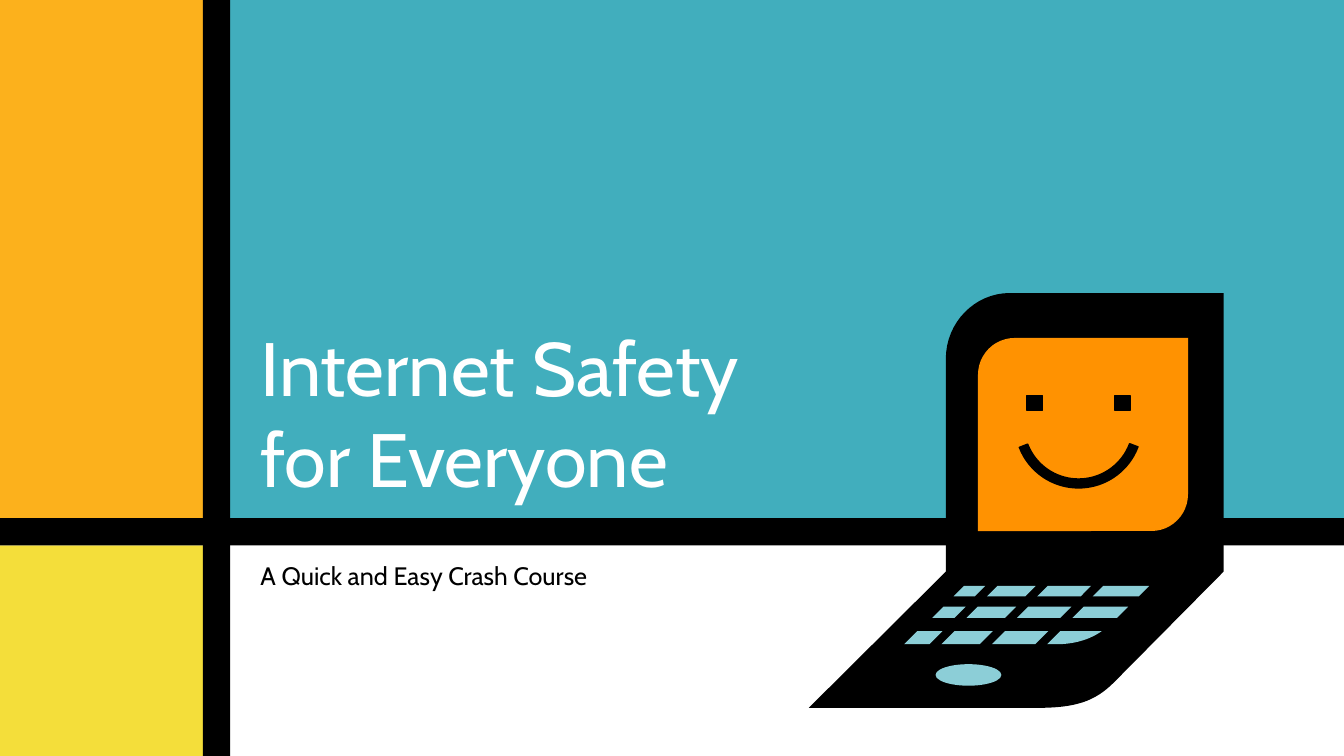
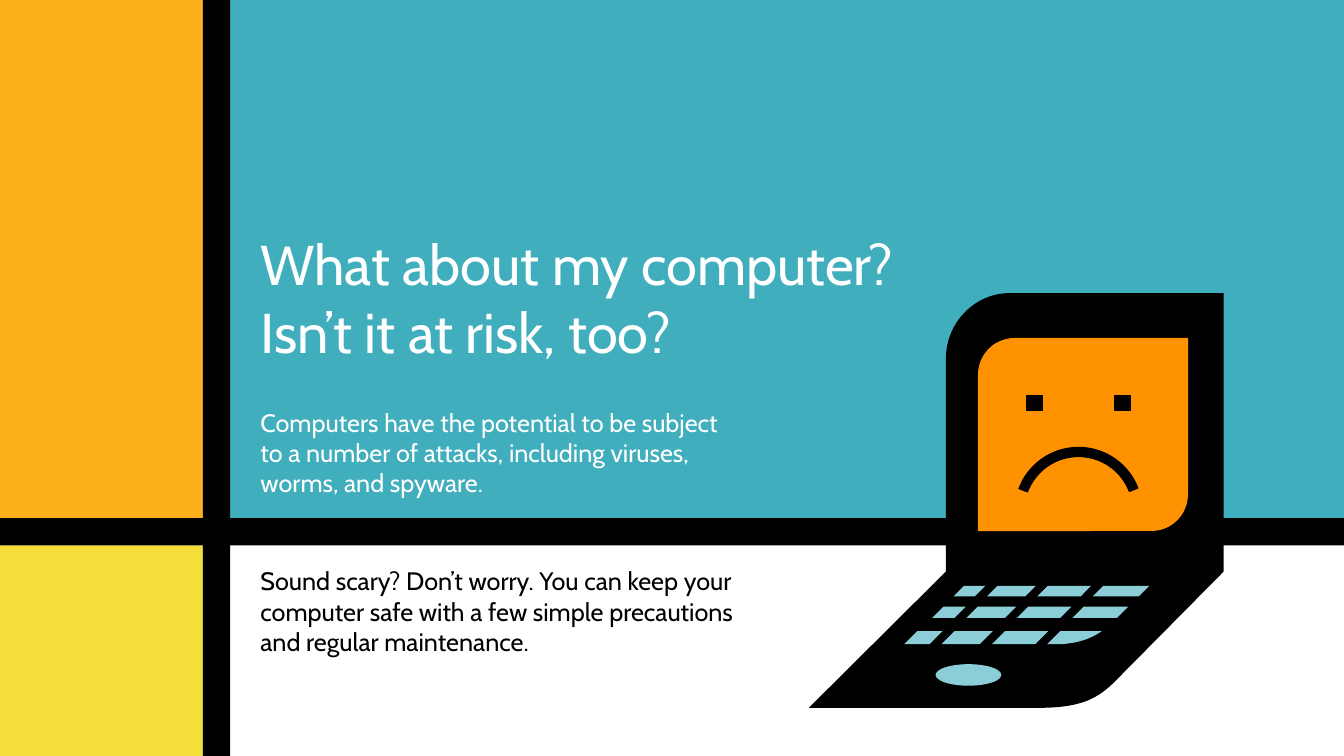
from dataclasses import dataclass

from pptx import Presentation
from pptx.dml.color import RGBColor as RGB
from pptx.enum.shapes import MSO_SHAPE as Kind
from pptx.enum.text import MSO_ANCHOR as Anchor, MSO_AUTO_SIZE as Fit, PP_ALIGN as Align
from pptx.util import Pt


@dataclass(frozen=True)
class Theme:
    font: str = "Cabin"
    body: int = 18
    black: str = "000000"
    white: str = "FFFFFF"
    teal: str = "41AEBD"
    amber: str = "FCB11C"
    yellow: str = "F4DE3A"
    key: str = "8CCED7"
    screen: str = "FF9201"


T = Theme()
WIDE, HIGH = 960, 540
LEFT, RIGHT = 145, 164.4  # edges of the upright bar
UPPER, LOWER = 370, 389.6  # edges of the level bar

# box: left, top, width, height; pad: side, top and bottom
SLIDES = [
    {
        "title": "Internet Safety\vfor Everyone",
        "size": 54, "box": (RIGHT, 217.4, 463, UPPER - 217.4), "anchor": Anchor.BOTTOM,
        "notes": [
            ("A Quick and Easy Crash Course", (RIGHT, LOWER, 795.6, 44),
             (21.6, 10.8), Anchor.TOP, T.black),
        ],
        "happy": True,
    },
    {
        "title": "What about my computer?\vIsn’t it at risk, too?",
        "size": 40, "box": (RIGHT, 153.4, 715.6, 118.8), "anchor": Anchor.TOP,
        "notes": [
            ("Computers have the potential to be subject to a number of attacks, "
             "including viruses, worms, and spyware.", (RIGHT, UPPER - 94.3, 382.3, 94.3),
             (21.6, 14.4), Anchor.BOTTOM, T.white),
            ("Sound scary? Don’t worry. You can keep your computer safe with a few "
             "simple precautions and regular maintenance.", (RIGHT, LOWER, 382.3, 94.3),
             (21.6, 14.4), Anchor.TOP, T.black),
        ],
        "happy": False,
    },
]

BANDS = [
    ((RIGHT, 0, WIDE - RIGHT, UPPER), T.teal),
    ((0, 0, LEFT, UPPER), T.amber),
    ((0, LOWER, LEFT, HIGH - LOWER), T.yellow),
    ((0, UPPER, WIDE, LOWER - UPPER), T.black),
    ((LEFT, 0, RIGHT - LEFT, HIGH), T.black),
]

# left, top, height, steps from key to key
KEYS = [
    (681.1, 418.5, 7.5, (23.8, 36, 39.6, 41.5)),
    (666, 433.4, 7.9, (24.5, 36, 39.6, 40.5)),
    (645.8, 450.8, 9.4, (26.6, 36, 39.6, 39)),
]
GAP = 8.6
FACE_X = 770.4
EYE_Y, EYE, EYE_GAP = 282.3, 10.8, 62.6
MOUTH, SMILE_Y, FROWN_Y = 90.7, 257.8, 319.7


def paint(shape, fill, line=None):
    shape.shadow.inherit = False
    shape.fill.solid()
    shape.fill.fore_color.rgb = RGB.from_string(fill)
    if line:
        shape.line.color.rgb = RGB.from_string(line)
        shape.line.width = Pt(1)
    else:
        shape.line.fill.background()
    return shape


def draw(shapes, kind, box, fill, line=None):
    return paint(shapes.add_shape(kind, *map(Pt, box)), fill, line)


def outline(shapes, points, fill):
    first, *rest = [(Pt(x), Pt(y)) for x, y in points]
    pen = shapes.build_freeform(*first)
    pen.add_line_segments(rest, close=True)
    return paint(pen.convert_to_shape(), fill)


def bend(start, corner, end, pull=0.55, count=16):
    """Points of a curve that rounds a corner; a higher pull is sharper."""
    def at(a, c, b, t):
        p, q = a + (c - a) * pull, b + (c - b) * pull
        u = 1 - t
        return u**3 * a + 3 * u * u * t * p + 3 * u * t * t * q + t**3 * b

    return [tuple(at(a, c, b, i / count) for a, c, b in zip(start, corner, end))
            for i in range(count + 1)]


def write(frame, text, size, color, pad, anchor):
    frame.text = text
    frame.word_wrap = True
    frame.auto_size = Fit.NONE
    frame.vertical_anchor = anchor
    frame.margin_left = frame.margin_right = Pt(pad[0])
    frame.margin_top = frame.margin_bottom = Pt(pad[1])
    for para in frame.paragraphs:
        para.alignment = Align.LEFT
        para.font.name = T.font
        para.font.size = Pt(size)
        para.font.color.rgb = RGB.from_string(color)


def set_bands(slide):
    """Draw the bands and move them to the layout, behind its placeholders."""
    tree = slide.slide_layout.shapes.element
    for i, (box, fill) in enumerate(BANDS):
        band = draw(slide.shapes, Kind.RECTANGLE, box, fill).element
        band.xpath("p:nvSpPr/p:cNvPr")[0].set("id", str(100 + i))
        tree.insert(2 + i, band)


def add_keys(shapes):
    for left, top, tall, steps in KEYS:
        x = left
        for step in steps:
            if (top, step) == (KEYS[-1][1], steps[-1]):
                base, end = top + tall, x + step
                curve = bend((x + 6.5, base), (x + 26, base), (end, top), 0.65)
                outline(shapes, [(x + tall, top), (x, base), *curve], T.key)
            else:
                box = (x, top, step + tall - GAP, tall)
                draw(shapes, Kind.PARALLELOGRAM, box, T.key).adjustments[0] = 1
            x += step


def add_laptop(slide, happy):
    shapes = slide.shapes.add_group_shape().shapes
    case = [
        (874, 209.3),
        *bend((721.4, 209.3), (675.6, 209.3), (675.6, 256.3)),
        (675.6, 408.3), (577.7, 505.6),
        *bend((740.9, 505.6), (777.4, 505.6), (795.6, 487.5), 0.75),
        (874, 408.3),
    ]
    outline(shapes, case, T.black)
    add_keys(shapes)
    draw(shapes, Kind.OVAL, (668.3, 474.4, 47, 15.4), T.key)
    screen = draw(shapes, Kind.ROUND_2_DIAG_RECTANGLE, (698.6, 241.4, 150, 137.9), T.screen)
    screen.adjustments[0] = 0.19
    for side in (-1, 1):
        x = FACE_X + side * EYE_GAP / 2 - EYE / 2
        draw(shapes, Kind.RECTANGLE, (x, EYE_Y, EYE, EYE), T.black, T.black)
    box = (FACE_X - MOUTH / 2, SMILE_Y if happy else FROWN_Y, MOUTH, MOUTH)
    mouth = draw(shapes, Kind.BLOCK_ARC, box, T.black, T.black)
    for i, value in enumerate((120.41, 203.3, 0.07)):
        mouth.adjustments[i] = value
    mouth.rotation = 180 if happy else 0


def main():
    deck = Presentation()
    deck.slide_width, deck.slide_height = Pt(WIDE), Pt(HIGH)
    layout = deck.slide_layouts[5]
    for i, data in enumerate(SLIDES):
        slide = deck.slides.add_slide(layout)
        if i == 0:
            set_bands(slide)
        title = slide.shapes.title
        title.left, title.top, title.width, title.height = map(Pt, data["box"])
        write(title.text_frame, data["title"], data["size"], T.white,
              (21.6, 10.8), data["anchor"])
        for text, box, pad, anchor, color in data["notes"]:
            note = slide.shapes.add_textbox(*map(Pt, box))
            write(note.text_frame, text, T.body, color, pad, anchor)
        add_laptop(slide, data["happy"])
    deck.save("out.pptx")


if __name__ == "__main__":
    main()
